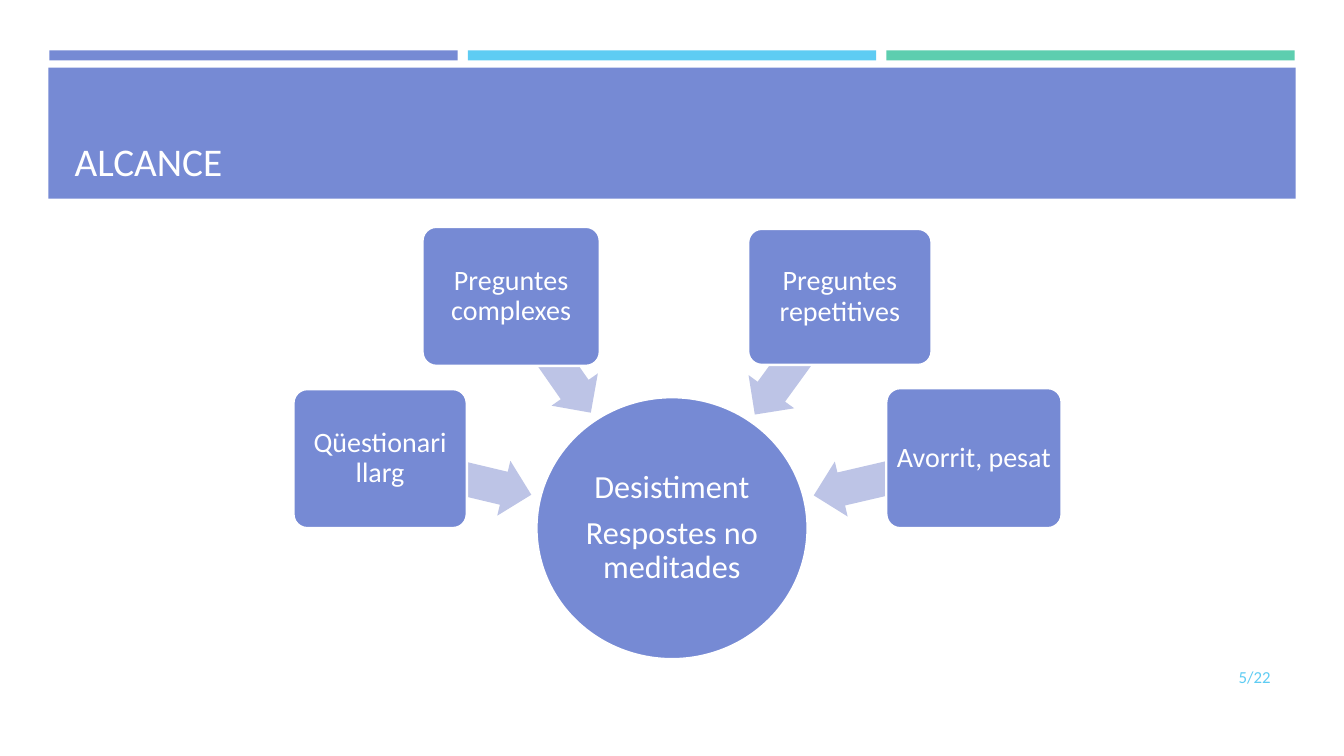
from pptx import Presentation
from pptx.dml.color import RGBColor
from pptx.enum.shapes import MSO_SHAPE
from pptx.enum.text import MSO_ANCHOR, PP_ALIGN
from pptx.util import Inches, Pt

BLUE = RGBColor(0x76, 0x8A, 0xD4)
SKY = RGBColor(0x5E, 0xCC, 0xF3)
GREEN = RGBColor(0x5D, 0xCE, 0xAF)
PALE = RGBColor(0xBD, 0xC4, 0xE6)
WHITE = RGBColor(0xFF, 0xFF, 0xFF)

TITLE = "ALCANCE"
PAGE = "5/22"
RESULT = ["Desistiment", "Respostes no meditades"]
# cause, box, arrow box, arrow rotation
CAUSES = [
    ("Qüestionari llarg", (2.91, 3.86, 1.72, 1.38), (3.75, 4.45, 1.54, 0.56), 193.4),
    ("Preguntes complexes", (4.19, 2.25, 1.76, 1.38), (4.76, 3.24, 1.4, 0.56), 235.1),
    ("Preguntes repetitives", (7.42, 2.27, 1.82, 1.35), (7.19, 3.25, 1.44, 0.56), 306),
    ("Avorrit, pesat", (8.79, 3.85, 1.74, 1.39), (8.05, 4.45, 1.63, 0.56), 346.9),
]
STRIPES = [BLUE, SKY, GREEN]
LEFT, STEP, WIDE = 0.49, 4.15, 4.05

deck = Presentation()
deck.slide_width, deck.slide_height = Inches(13.33), Inches(7.5)
slide = deck.slides.add_slide(deck.slide_layouts[5])
shapes = slide.shapes


def draw(kind, box, fill, edge=None):
    shape = shapes.add_shape(kind, *map(Inches, box))
    shape.shadow.inherit = False
    shape.fill.solid()
    shape.fill.fore_color.rgb = fill
    if edge is None:
        shape.line.fill.background()
    else:
        shape.line.color.rgb = edge
        shape.line.width = Pt(1.75)
    return shape


def write(shape, lines, size, color, inset=None, anchor=MSO_ANCHOR.MIDDLE, **form):
    """Fill a shape with paragraphs; form holds paragraph attributes."""
    frame = shape.text_frame
    frame.text = "\n".join(lines)
    frame.word_wrap = True
    frame.vertical_anchor = anchor
    if inset is not None:
        for side in ("left", "top", "right", "bottom"):
            setattr(frame, "margin_" + side, Inches(inset))
    font = {"name": "Calibri", "size": Pt(size), "bold": False}
    for para in frame.paragraphs:
        for key, value in form.items():
            setattr(para, key, value)
        for run in para.runs:
            for key, value in font.items():
                setattr(run.font, key, value)
            run.font.color.rgb = color


def label(shape, lines, size, inset):
    write(shape, lines, size, WHITE, inset, alignment=PP_ALIGN.CENTER,
          line_spacing=0.9, space_after=Pt(round(size * 0.35)))


for i, color in enumerate(STRIPES):
    draw(MSO_SHAPE.RECTANGLE, (LEFT + i * STEP, 0.5, WIDE, 0.1), color)
draw(MSO_SHAPE.RECTANGLE, (0.48, 0.67, 12.37, 1.3), BLUE)

title = shapes.title
title.left, title.top, title.width, title.height = map(Inches, (0.64, 0.77, 12.06, 1.11))
write(title, [TITLE], 28, WHITE, anchor=MSO_ANCHOR.BOTTOM, alignment=PP_ALIGN.LEFT)
shapes._spTree.append(title._element)  # bring the title above its band

hub = draw(MSO_SHAPE.OVAL, (5.32, 3.94, 2.69, 2.6), BLUE, WHITE)
label(hub, RESULT, 23, 0.02)

for cause, box, way, turn in CAUSES:
    arrow = draw(MSO_SHAPE.LEFT_ARROW, way, PALE)
    arrow.rotation = turn
    arrow.adjustments[0], arrow.adjustments[1] = 0.6, 0.5
    card = draw(MSO_SHAPE.ROUNDED_RECTANGLE, box, BLUE, WHITE)
    card.adjustments[0] = 0.1
    label(card, [cause], 20, 0.04)

page = shapes.add_textbox(*map(Inches, (11.55, 6.51, 1.15, 0.4)))
write(page, [PAGE], 12, SKY, alignment=PP_ALIGN.RIGHT)

deck.save("out.pptx")
